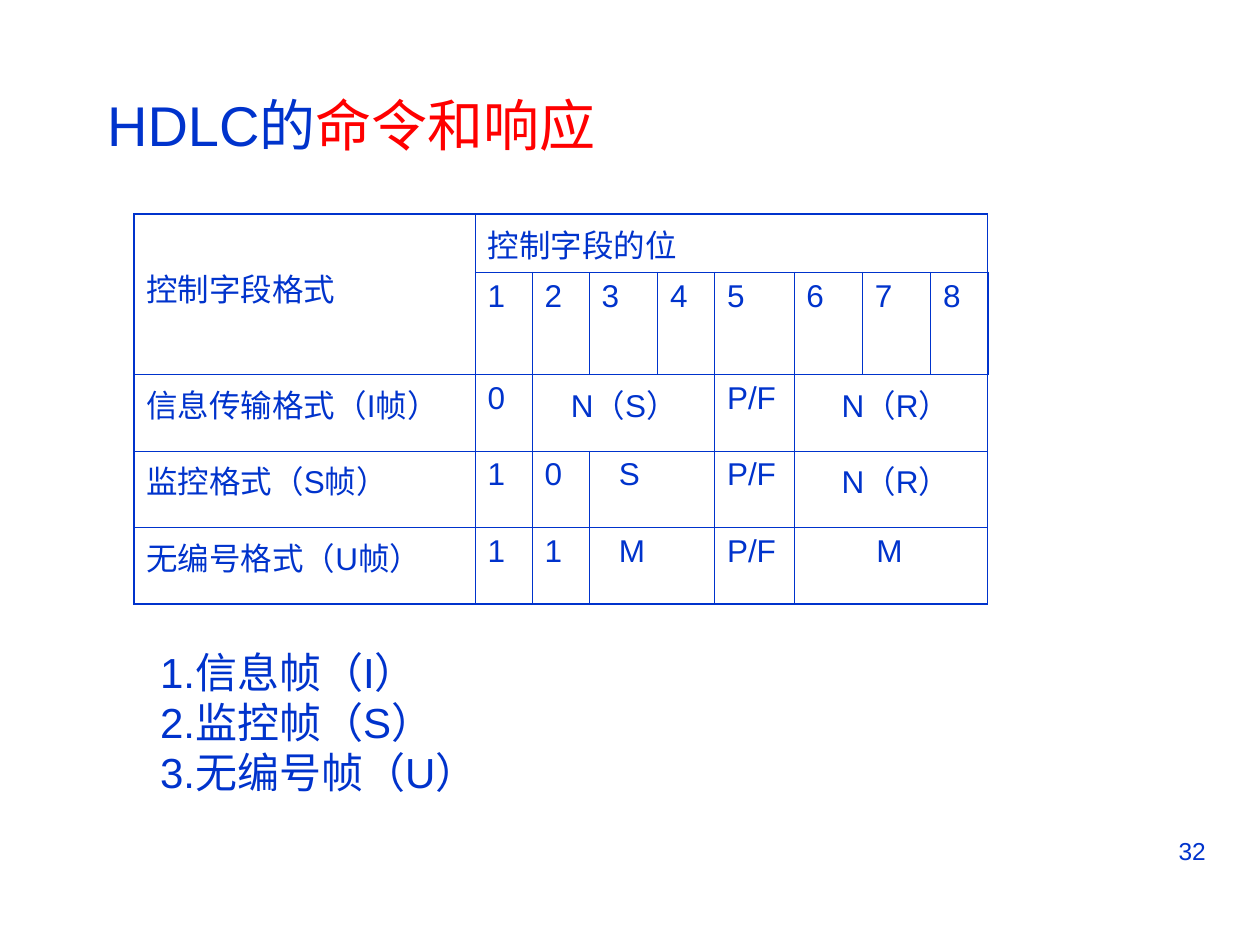
from dataclasses import dataclass

import pptx
import pptx.dml.color
import pptx.enum.text
import pptx.oxml
import pptx.oxml.ns
import pptx.util

Cm = pptx.util.Cm
Pt = pptx.util.Pt
ANCHOR = pptx.enum.text.MSO_ANCHOR
ALIGN = pptx.enum.text.PP_ALIGN

COLORS = {"blue": "0033CC", "red": "FF0000"}
FONT = "Arial"
COLUMN_WIDTHS = (6.88, 1.15, 1.15, 1.38, 1.15, 1.6, 1.38, 1.38, 1.15)
ROW_HEIGHTS = (1.17, 2.06, 1.54, 1.54, 1.54)
CELL_MARGIN = 0.25
INNER_LINE, OUTER_LINE = 0.45, 1.08


@dataclass(frozen=True)
class Field:
    row: int
    col: int
    text: str
    cols: int = 1
    rows: int = 1
    indent: float = 0


@dataclass(frozen=True)
class Label:
    left: float
    top: float
    width: float
    height: float
    size: int
    lines: tuple
    align: ALIGN = ALIGN.LEFT


FIELDS = [
    Field(0, 0, "控制字段格式", rows=2),
    Field(0, 1, "控制字段的位", cols=8),
    *(Field(1, bit, str(bit)) for bit in range(1, 9)),
    Field(2, 0, "信息传输格式（I帧）"),
    Field(2, 1, "0"),
    Field(2, 2, "N（S）", cols=3, indent=0.53),
    Field(3, 0, "监控格式（S帧）"),
    Field(3, 1, "1"),
    Field(3, 2, "0"),
    Field(3, 3, "S", cols=2, indent=0.35),
    Field(4, 0, "无编号格式（U帧）"),
    Field(4, 1, "1"),
    Field(4, 2, "1"),
    Field(4, 3, "M", cols=2, indent=0.35),
    *(Field(row, 5, "P/F") for row in (2, 3, 4)),
    *(Field(row, 6, "N（R）", cols=3, indent=0.71) for row in (2, 3)),
    Field(4, 6, "M", cols=3, indent=1.41),
]

LABELS = [
    Label(1.91, 1.7, 21.6, 2, 32, ((("HDLC的", "blue"), ("命令和响应", "red")),)),
    Label(2.98, 12.9, 18.4, 4.85, 24, (
        (("1.信息帧（I）", "blue"),),
        (("2.监控帧（S）", "blue"),),
        (("3.无编号帧（U）", "blue"),),
    )),
    Label(18.21, 16.72, 6.35, 1.32, 14, ((("32", "blue"),),), ALIGN.RIGHT),
]


def format_run(r, size: int, color: str) -> None:
    r.font.name = FONT
    r.font.size = Pt(size)
    r.font.color.rgb = pptx.dml.color.RGBColor.from_string(COLORS[color])


def add_label(s, label: Label) -> None:
    box = s.shapes.add_textbox(
        *map(Cm, (label.left, label.top, label.width, label.height)))
    tf = box.text_frame
    tf.word_wrap = True
    for index, line in enumerate(label.lines):
        p = tf.add_paragraph() if index else tf.paragraphs[0]
        p.alignment = label.align
        for text, color in line:
            r = p.add_run()
            r.text = text
            format_run(r, label.size, color)
            east_asian = pptx.oxml.parse_xml(
                f'<a:ea {pptx.oxml.ns.nsdecls("a")} typeface="{FONT}"/>')
            r.font._element.find(pptx.oxml.ns.qn("a:latin")).addnext(east_asian)


def add_borders(cell, row: int, col: int) -> None:
    outer = {
        "L": col == 0,
        "R": col == len(COLUMN_WIDTHS) - 1,
        "T": row == 0,
        "B": row == len(ROW_HEIGHTS) - 1,
    }
    tc_pr = cell._tc.get_or_add_tcPr()
    for side, is_outer in outer.items():
        width = Pt(OUTER_LINE if is_outer else INNER_LINE)
        tc_pr.append(pptx.oxml.parse_xml(
            f'<a:ln{side} {pptx.oxml.ns.nsdecls("a")} w="{width}"><a:solidFill>'
            f'<a:srgbClr val="{COLORS["blue"]}"/></a:solidFill></a:ln{side}>'))


def fill_field(table, field: Field) -> None:
    cell = table.cell(field.row, field.col)
    if field.rows > 1 or field.cols > 1:
        cell.merge(table.cell(field.row + field.rows - 1,
                              field.col + field.cols - 1))
    cell.margin_left = Cm(CELL_MARGIN + field.indent)
    if field.indent:
        cell.margin_right = Cm(0)
    cell.text_frame.text = field.text
    format_run(cell.text_frame.paragraphs[0].runs[0], 18, "blue")
    if field.rows > 1:
        cell.vertical_anchor = ANCHOR.MIDDLE
        cell.margin_bottom = Cm(0.4)
    elif field.row == 0:
        cell.vertical_anchor = ANCHOR.BOTTOM


def add_format_table(s) -> None:
    table = s.shapes.add_table(
        len(ROW_HEIGHTS), len(COLUMN_WIDTHS), Cm(2.7), Cm(4.32),
        Cm(sum(COLUMN_WIDTHS)), Cm(sum(ROW_HEIGHTS))).table
    table.first_row = False
    table.horz_banding = False
    for column, width in zip(table.columns, COLUMN_WIDTHS):
        column.width = Cm(width)
    for row, height in zip(table.rows, ROW_HEIGHTS):
        row.height = Cm(height)
    for row in range(len(ROW_HEIGHTS)):
        for col in range(len(COLUMN_WIDTHS)):
            cell = table.cell(row, col)
            add_borders(cell, row, col)
            cell.fill.background()
    for field in FIELDS:
        fill_field(table, field)


def main() -> None:
    prs = pptx.Presentation()
    prs.slide_width, prs.slide_height = Cm(25.4), Cm(19.05)
    s = prs.slides.add_slide(prs.slide_layouts[6])
    for label in LABELS:
        add_label(s, label)
    add_format_table(s)
    prs.save("out.pptx")


if __name__ == "__main__":
    main()
